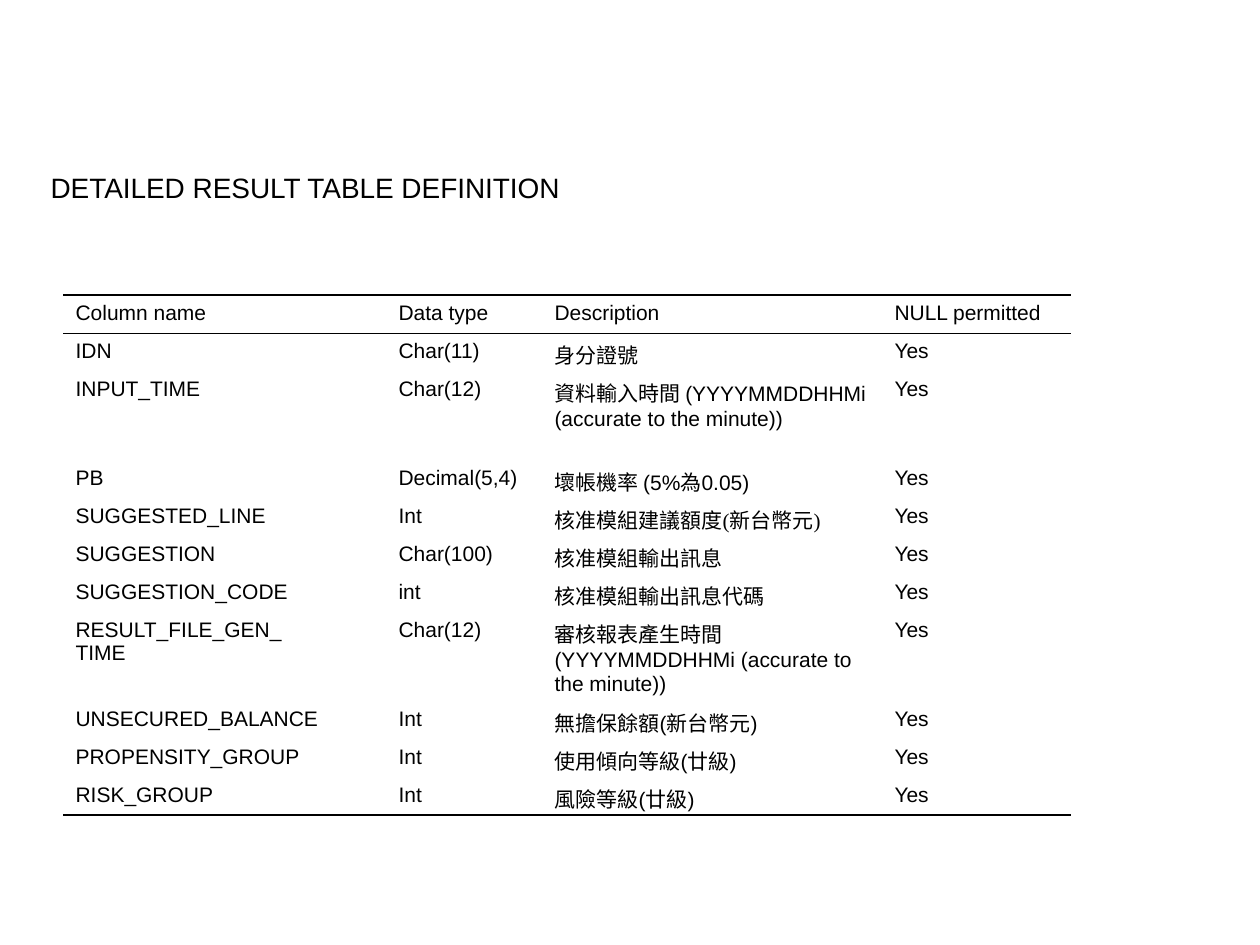
import pptx
import pptx.dml.color
import pptx.enum.text
import pptx.oxml.ns
import pptx.util
from lxml import etree

PX = 914400 / 126  # EMU per px
COLORS = {"text": "000000", "rule": "000000"}
FONT = "Arial"
SERIF = "Times New Roman"

COL_WIDTHS = [323, 156, 340, 189]
ROW_HEIGHT, TALL_ROW_HEIGHT = 38, 89
OUTER_RULE, HEADER_RULE = 0.75, 0.45  # points
TIMESTAMP = "(YYYYMMDDHHMi (accurate to the minute))"

HEADER = ["Column name", "Data type", "Description", "NULL permitted"]
# Column name, data type, description; a list holds (text, font) runs
FIELDS = [
    ("IDN", "Char(11)", "身分證號"),
    ("INPUT_TIME", "Char(12)", f"資料輸入時間 {TIMESTAMP}"),
    ("PB", "Decimal(5,4)", "壞帳機率 (5%為0.05)"),
    ("SUGGESTED_LINE", "Int",
     [("核准模組建議額度(", SERIF), ("新台幣元", FONT), (")", SERIF)]),
    ("SUGGESTION", "Char(100)", "核准模組輸出訊息"),
    ("SUGGESTION_CODE", "int", "核准模組輸出訊息代碼"),
    ("RESULT_FILE_GEN_\vTIME", "Char(12)", f"審核報表產生時間 {TIMESTAMP}"),
    ("UNSECURED_BALANCE", "Int", "無擔保餘額(新台幣元)"),
    ("PROPENSITY_GROUP", "Int", "使用傾向等級(廿級)"),
    ("RISK_GROUP", "Int", "風險等級(廿級)"),
]


def px(n):
    return pptx.util.Emu(round(n * PX))


def format_paragraph(p, size):
    p.alignment = pptx.enum.text.PP_ALIGN.LEFT
    p.font.name = FONT
    p.font.size = pptx.util.Pt(size)
    p.font.color.rgb = pptx.dml.color.RGBColor.from_string(COLORS["text"])


def add_title(slide, text, left, top, width, height):
    sp = slide.shapes.title
    sp.left, sp.top, sp.width, sp.height = map(px, (left, top, width, height))
    tf = sp.text_frame
    tf.text = text
    tf.word_wrap = True
    tf.auto_size = pptx.enum.text.MSO_AUTO_SIZE.NONE
    tf.vertical_anchor = pptx.enum.text.MSO_ANCHOR.TOP
    format_paragraph(tf.paragraphs[0], 16)


def set_borders(cell, top, bottom):
    """Draw the given rules, in points, and clear every other border."""
    tc_pr = cell._tc.get_or_add_tcPr()
    for side, width in (("L", 0), ("R", 0), ("T", top), ("B", bottom)):
        ln = etree.SubElement(tc_pr, pptx.oxml.ns.qn(f"a:ln{side}"))
        if width:
            ln.set("w", str(pptx.util.Pt(width)))
            fill = etree.SubElement(ln, pptx.oxml.ns.qn("a:solidFill"))
            etree.SubElement(fill, pptx.oxml.ns.qn("a:srgbClr"), val=COLORS["rule"])
        else:
            etree.SubElement(ln, pptx.oxml.ns.qn("a:noFill"))


def fill_cell(cell, content):
    cell.margin_bottom = 0  # keeps tall Chinese lines within the row height
    p = cell.text_frame.paragraphs[0]
    format_paragraph(p, 12)
    if isinstance(content, str):
        p.text = content
        return
    for text, font in content:
        r = p.add_run()
        r.text = text
        r.font.name = font


def add_field_table(slide, left, top):
    rows = [HEADER] + [[*field, "Yes"] for field in FIELDS]
    heights = [TALL_ROW_HEIGHT if TIMESTAMP in row[2] else ROW_HEIGHT for row in rows]
    frame = slide.shapes.add_table(len(rows), len(HEADER), px(left), px(top),
                                   px(sum(COL_WIDTHS)), px(sum(heights)))
    table = frame.table
    table.first_row = table.horz_banding = False
    for column, width in zip(table.columns, COL_WIDTHS):
        column.width = px(width)

    # Rules lie above and below the header and under the last row
    rules = [OUTER_RULE, HEADER_RULE] + [0] * (len(rows) - 2) + [OUTER_RULE]
    for i, row in enumerate(rows):
        table.rows[i].height = px(heights[i])
        for j, content in enumerate(row):
            cell = table.cell(i, j)
            fill_cell(cell, content)
            set_borders(cell, rules[i], rules[i + 1])
            cell.fill.background()


def main():
    prs = pptx.Presentation()
    prs.slide_width, prs.slide_height = px(1260), px(945)
    slide = prs.slides.add_slide(prs.slide_layouts[5])  # Title Only

    # Heading
    add_title(slide, "DETAILED RESULT TABLE DEFINITION", 38, 164, 1170, 47)

    # Column definitions
    add_field_table(slide, 63, 295)

    prs.save("out.pptx")


if __name__ == "__main__":
    main()
